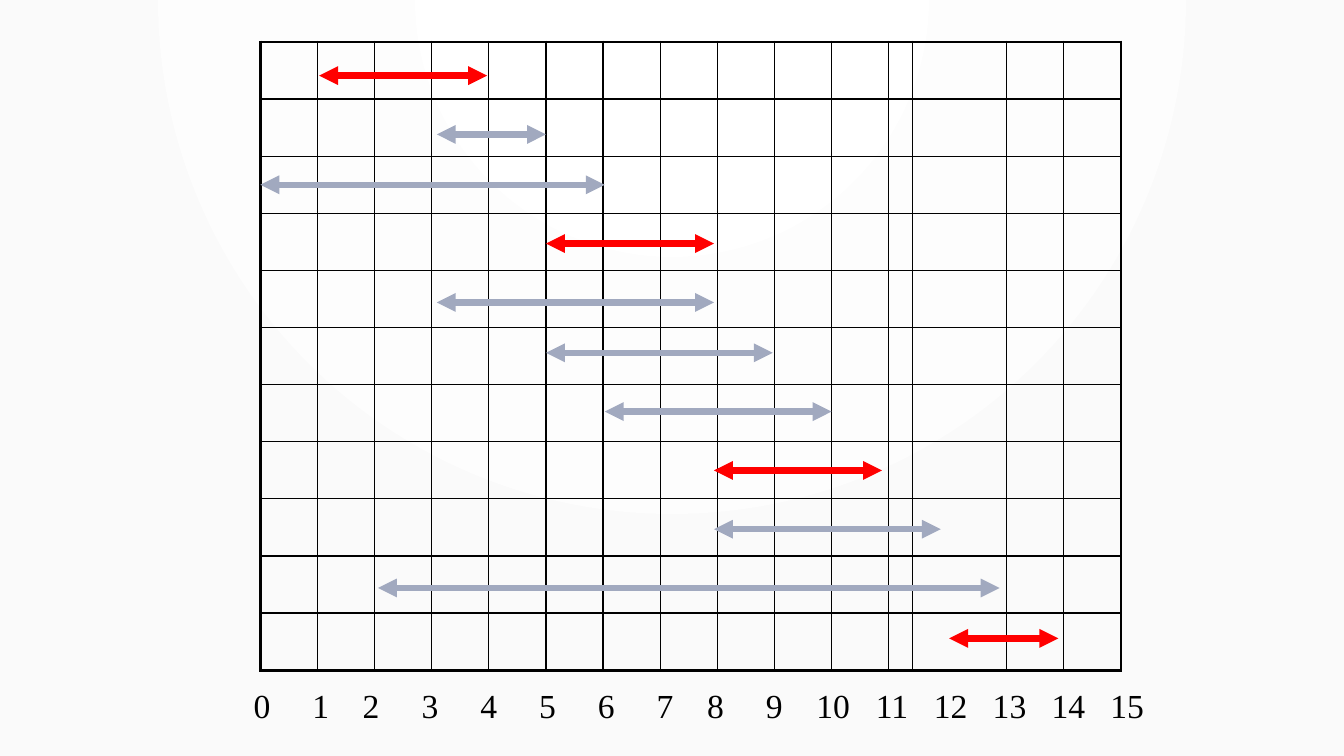
from itertools import accumulate

from lxml.etree import SubElement as Sub
from pptx import Presentation
from pptx.dml.color import RGBColor as Rgb
from pptx.enum.shapes import MSO_CONNECTOR as Conn
from pptx.oxml import parse_xml
from pptx.oxml.ns import nsdecls, qn
from pptx.util import Inches, Pt

COLORS = {"ink": "000000", "pick": "FF0000", "skip": "A1A9BF",
          "inner": "FFFFFF", "outer": "FAFAFA"}
FONT = "Times New Roman"
WIDE, HIGH = 160, 90  # slide grid: twelve units to the inch
LEFT, TOP = 31, 5
STEP = 6.8
ROWS = 11
COLS = [STEP] * 11 + [2.8, 11.2] + [STEP] * 2

# (start, end, row line, colour) on the slide grid
TASKS = [
    (38, 58, 9, "pick"),
    (52, 65, 16, "skip"),
    (31, 72, 22, "skip"),
    (65, 85, 29, "pick"),
    (52, 85, 36, "skip"),
    (65, 92, 42, "skip"),
    (72, 99, 49, "skip"),
    (85, 105, 56, "pick"),
    (85, 112, 63, "skip"),
    (45, 119, 70, "skip"),
    (113, 126, 76, "pick"),
]


def unit(n):
    return Inches(n / 12)


def backdrop(slide):
    """Fill the background with a circular gradient centred on the top edge."""
    stops = "".join(
        f'<a:gs pos="{pos}"><a:srgbClr val="{COLORS[name]}"/></a:gs>'
        for pos, name in ((0, "inner"), (100000, "outer")))
    slide.element.cSld.insert(0, parse_xml(
        f'<p:bg {nsdecls("p", "a")}><p:bgPr><a:gradFill rotWithShape="1">'
        f'<a:gsLst>{stops}</a:gsLst><a:path path="circle">'
        '<a:fillToRect l="43000" t="0" r="43000" b="100000"/></a:path>'
        '</a:gradFill><a:effectLst/></p:bgPr></p:bg>'))


def border(cell, widths):
    """Set the left, right, top and bottom lines, widths in points."""
    props = cell._tc.get_or_add_tcPr()
    for i, (side, width) in enumerate(zip("LRTB", widths)):
        line = Sub(props, qn(f"a:ln{side}"), w=str(Pt(width)))
        fill = Sub(line, qn("a:solidFill"))
        Sub(fill, qn("a:srgbClr"), val=COLORS["ink"])
        props.insert(i, line)


def grid(slide):
    frame = slide.shapes.add_table(ROWS, len(COLS), unit(LEFT), unit(TOP),
                                   unit(sum(COLS)), unit(ROWS * STEP))
    table = frame.table
    table.first_row = table.horz_banding = False
    for col, width in zip(table.columns, COLS):
        col.width = unit(width)
    for r, row in enumerate(table.rows):
        row.height = unit(STEP)
        for c, cell in enumerate(row.cells):
            cell.fill.background()
            edges = (c == 0, c == len(COLS) - 1, r == 0, r == ROWS - 1)
            border(cell, [2.25 if edge else 1 for edge in edges])


def arrow(slide, start, end, y, color):
    line = slide.shapes.add_connector(Conn.STRAIGHT, unit(start), unit(y),
                                      unit(end), unit(y))
    line.line.color.rgb = Rgb.from_string(COLORS[color])
    line.line.width = Pt(4.5)
    for tip in ("headEnd", "tailEnd"):
        Sub(line.line._get_or_add_ln(), qn(f"a:{tip}"), type="triangle")
    Sub(line._element.spPr, qn("a:effectLst"))


def write(slide, text, box, size=24, color="ink", tabs=()):
    """Add a text box; tabs are centred stops in points."""
    shape = slide.shapes.add_textbox(*map(unit, box))
    frame = shape.text_frame
    frame.word_wrap = True
    frame.margin_right = 0
    para = frame.paragraphs[0]
    stops = Sub(para._p.get_or_add_pPr(), qn("a:tabLst"))
    for pos in tabs:
        Sub(stops, qn("a:tab"), pos=str(Pt(pos)), algn="ctr")
    run = para.add_run()
    run.text = text
    run.font.name = FONT
    run.font.size = Pt(size)
    run.font.color.rgb = Rgb.from_string(COLORS[color])


def scale(slide):
    """Number the time axis; the gaps before 2 and 8 are tighter."""
    hours = range(16)
    gaps = [36 if n in (2, 8) else 42 for n in hours[1:]]
    tabs = list(accumulate(gaps, initial=6))[1:]
    write(slide, "\t".join(map(str, hours)), (29, 81, 108.4, 6), tabs=tabs)


def main():
    deck = Presentation()
    deck.slide_width, deck.slide_height = unit(WIDE), unit(HIGH)
    slide = deck.slides.add_slide(deck.slide_layouts[6])
    backdrop(slide)
    grid(slide)
    for task in TASKS:
        arrow(slide, *task)
    scale(slide)
    deck.save("out.pptx")


if __name__ == "__main__":
    main()
